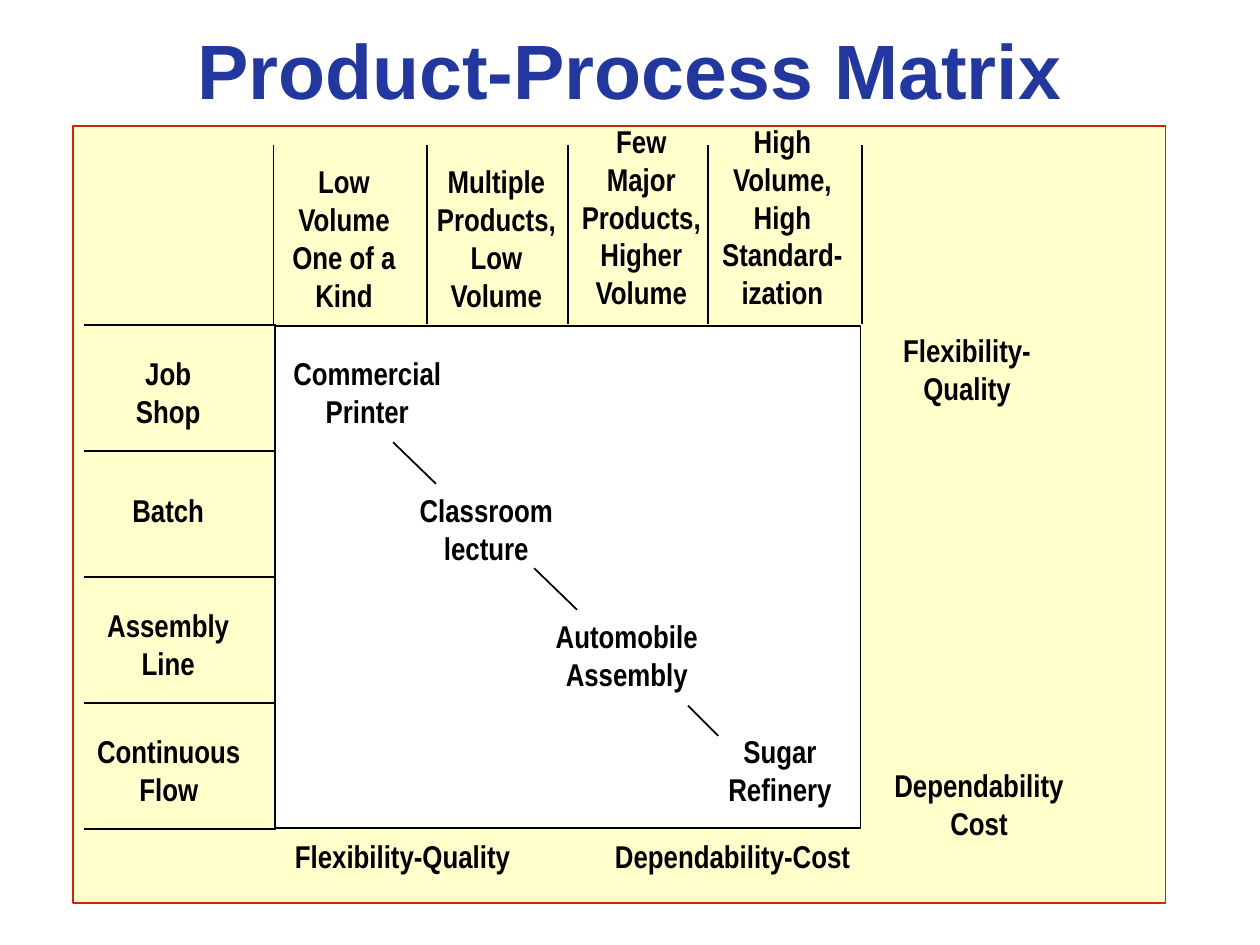
from pptx import Presentation
from pptx.dml.color import RGBColor
from pptx.enum.shapes import MSO_CONNECTOR, MSO_SHAPE
from pptx.enum.text import MSO_ANCHOR, MSO_AUTO_SIZE, PP_ALIGN
from pptx.oxml.ns import qn
from pptx.util import Inches, Pt

STRAIGHT = MSO_CONNECTOR.STRAIGHT
RECTANGLE = MSO_SHAPE.RECTANGLE
CENTER = PP_ALIGN.CENTER
BOTTOM = MSO_ANCHOR.BOTTOM
NO_AUTOFIT = MSO_AUTO_SIZE.NONE
FIT_SHAPE = MSO_AUTO_SIZE.SHAPE_TO_FIT_TEXT

BLACK = RGBColor(0x00, 0x00, 0x00)
WHITE = RGBColor(0xFF, 0xFF, 0xFF)
CREAM = RGBColor(0xFF, 0xFF, 0xCC)
RED = RGBColor(0xCE, 0x27, 0x00)
BLUE = RGBColor(0x22, 0x37, 0xA0)

ROW_HEIGHT = 1
LINE_HEIGHT = 0.3  # one line of 18 pt text
TEXT_MARGIN = 0.1  # top and bottom insets together
SIDE_INSET = 0.07  # leaves every label line room to stay whole


def add_rectangle(slide, box, fill, line):
    shape = slide.shapes.add_shape(RECTANGLE, *map(Inches, box))
    shape.shadow.inherit = False
    shape.fill.solid()
    shape.fill.fore_color.rgb = fill
    shape.line.color.rgb = line
    shape.line.width = Pt(1)


def add_line(slide, x1, y1, x2, y2):
    line = slide.shapes.add_connector(STRAIGHT, *map(Inches, (x1, y1, x2, y2)))
    line.line.color.rgb = BLACK
    line.line.width = Pt(1)
    properties = line._element.spPr
    properties.append(properties.makeelement(qn("a:effectLst"), {}))


def add_run(paragraph, text, font_name, size, color):
    paragraph.alignment = CENTER
    run = paragraph.add_run()
    run.text = text
    run.font.name = font_name
    run.font.size = Pt(size)
    run.font.bold = True
    run.font.color.rgb = color


def add_label(slide, left, top, width, lines):
    height = LINE_HEIGHT * len(lines) + TEXT_MARGIN
    label = slide.shapes.add_textbox(*map(Inches, (left, top, width, height)))
    frame = label.text_frame
    frame.word_wrap = False
    frame.auto_size = FIT_SHAPE
    frame.margin_left = frame.margin_right = Inches(SIDE_INSET)
    for index, text in enumerate(lines):
        paragraph = frame.add_paragraph() if index else frame.paragraphs[0]
        add_run(paragraph, text, "Arial Narrow", 18, BLACK)


def add_title(slide, box):
    title = slide.shapes.title
    title.left, title.top, title.width, title.height = map(Inches, box)
    frame = title.text_frame
    frame.word_wrap = True
    frame.auto_size = NO_AUTOFIT
    frame.vertical_anchor = BOTTOM
    add_run(frame.paragraphs[0], "Product-Process Matrix", "Arial", 44, BLUE)


def add_process_rows(slide, left, top, width):
    """Process types down the left side, between horizontal rules."""
    rows = [
        (0.31, 0.18, 0.71, ["Job", "Shop"]),
        (0.28, 0.27, 0.77, ["Batch"]),
        (0.08, 0.18, 1.17, ["Assembly", "Line"]),
        (0, 0.18, 1.34, ["Continuous", "Flow"]),
    ]
    for index in range(len(rows) + 1):
        y = top + index * ROW_HEIGHT
        add_line(slide, left, y, left + width, y)
    for index, (x, y, label_width, lines) in enumerate(rows):
        add_label(slide, left + x, top + index * ROW_HEIGHT + y, label_width, lines)


def add_product_columns(slide, left, top, height):
    """Product types along the top, between vertical rules."""
    for x in (0, 1.22, 2.34, 3.45, 4.67):
        add_line(slide, left + x, top, left + x, top + height)
    columns = [
        (0.05, 0.09, 1.02, ["Low", "Volume", "One of a", "Kind"]),
        (1.2, 0.09, 1.14, ["Multiple", "Products,", "Low", "Volume"]),
        (2.35, -0.23, 1.14, ["Few", "Major", "Products,", "Higher", "Volume"]),
        (3.46, -0.23, 1.16, ["High", "Volume,", "High", "Standard-", "ization"]),
    ]
    for x, y, width, lines in columns:
        add_label(slide, left + x, top + y, width, lines)


def add_matrix(slide, box):
    """White field with its diagonal of examples and the labels around it."""
    left, top, width, height = box
    add_rectangle(slide, box, WHITE, BLACK)

    # Examples on the diagonal
    examples = [
        (0.05, 0.17, 1.37, ["Commercial", "Printer"]),
        (1.05, 1.26, 1.26, ["Classroom", "lecture"]),
        (2.13, 2.26, 1.33, ["Automobile", "Assembly"]),
        (3.5, 3.17, 1.02, ["Sugar", "Refinery"]),
    ]
    for x, y, label_width, lines in examples:
        add_label(slide, left + x, top + y, label_width, lines)

    # Links between neighbouring examples
    for x, y, run, drop in [(0.94, 0.92, 0.34, 0.33), (2.06, 1.92, 0.34, 0.33),
                            (3.28, 3.01, 0.24, 0.24)]:
        add_line(slide, left + x, top + y, left + x + run, top + y + drop)

    # Priorities below and to the right
    bottom, right = top + height, left + width
    add_label(slide, left + 0.06, bottom + 0.02, 1.91, ["Flexibility-Quality"])
    add_label(slide, left + 2.6, bottom + 0.02, 2.07, ["Dependability-Cost"])
    add_label(slide, right + 0.24, top - 0.01, 1.21, ["Flexibility-", "Quality"])
    add_label(slide, right + 0.17, bottom - 0.54, 1.54, ["Dependability", "Cost"])


def main():
    presentation = Presentation()
    presentation.slide_width = Inches(10)
    presentation.slide_height = Inches(7.5)
    slide = presentation.slides.add_slide(presentation.slide_layouts[5])

    add_title(slide, (0, 0.44, 10, 0.52))
    add_rectangle(slide, (0.58, 1, 8.67, 6.17), CREAM, RED)
    add_matrix(slide, (2.18, 2.59, 4.65, 3.98))
    add_process_rows(slide, 0.67, 2.58, 1.52)
    add_product_columns(slide, 2.17, 1.15, 1.42)
    presentation.save("out.pptx")


if __name__ == "__main__":
    main()
